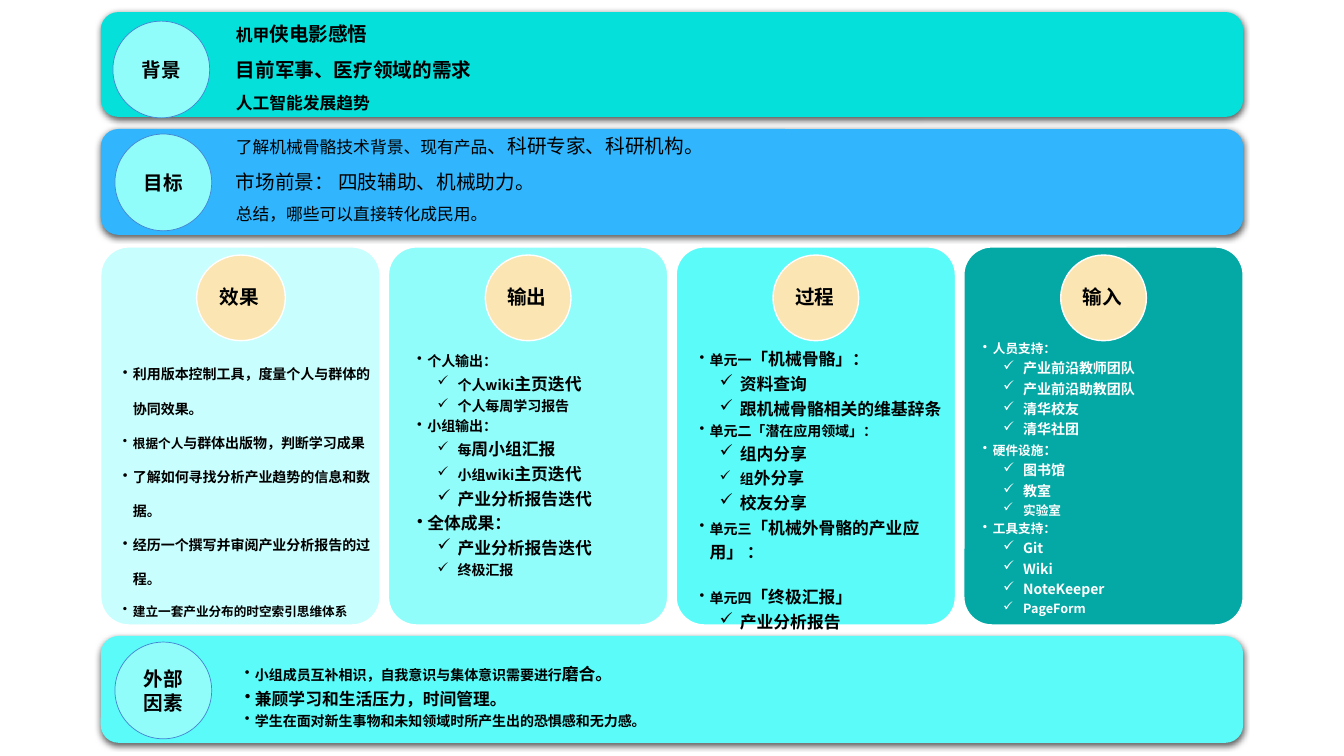
"""Build a one-page project canvas: two top bands, four cards and a base band."""
from dataclasses import dataclass

from lxml import etree
from pptx import Presentation
from pptx.dml.color import RGBColor
from pptx.enum.shapes import MSO_SHAPE
from pptx.enum.text import MSO_ANCHOR, PP_ALIGN
from pptx.oxml.ns import qn
from pptx.util import Inches, Pt

ROUND = MSO_SHAPE.ROUNDED_RECTANGLE
OVAL = MSO_SHAPE.OVAL
RECT = MSO_SHAPE.RECTANGLE
MIDDLE = MSO_ANCHOR.MIDDLE
TOP = MSO_ANCHOR.TOP
CENTER = PP_ALIGN.CENTER
LEFT = PP_ALIGN.LEFT


@dataclass(frozen=True)
class Theme:
    """Colours, fonts and type sizes of the slide."""
    ink: str = "000000"
    white: str = "FFFFFF"
    sand: str = "FBE6B3"
    pale: str = "C8FEFD"
    mint: str = "91FDFA"
    aqua: str = "5AFBF8"
    teal: str = "04A8A4"
    cyan: str = "05E0DB"
    sky: str = "31B6FD"
    edge: str = "4584D3"
    plain: str = "Noto Sans CJK SC"
    heavy: str = "Noto Sans CJK TC"
    tiny: int = 9
    small: int = 10
    body: int = 12
    large: int = 14
    pitch: float = 1.22


T = Theme()


@dataclass(frozen=True)
class Style:
    """Look of a block of text."""
    font: str = T.heavy
    bold: bool = True
    color: str = T.ink
    space: float = 1.2
    align: int = LEFT


@dataclass(frozen=True)
class Row:
    """One paragraph: its runs, bullet, indent and gap above."""
    runs: tuple
    mark: str = ""
    left: float = 0
    hang: float = 0
    gap: float = 0


def line(*runs):
    """Return a row without a bullet."""
    return Row(runs)


def point(*runs, left=0.1, gap=0):
    """Return a top-level bullet row."""
    return Row(runs, "•", left, 0.1, gap)


def tick(*runs):
    """Return a ticked sub-row."""
    return Row(runs, "✓", 0.4, 0.2)


def ticks(size, *names):
    """Return ticked rows of one type size."""
    return [tick((name, size)) for name in names]


def add_run(para, text, size, style):
    """Add one run of text in the given style."""
    run = para.add_run()
    run.text = text
    font = run.font
    font.size = Pt(size)
    font.bold = style.bold
    font.name = style.font
    font.color.rgb = RGBColor.from_string(style.color)
    etree.SubElement(font._element, qn("a:ea"), typeface=style.font)


def set_mark(para, row):
    """Give a paragraph its bullet and hanging indent."""
    props = para._p.get_or_add_pPr()
    props.set("marL", str(Inches(row.left)))
    props.set("indent", str(-Inches(row.hang)))
    etree.SubElement(props, qn("a:buChar"), char=row.mark)


def fill_text(frame, rows, style):
    """Write rows of runs into a text frame."""
    for i, row in enumerate(rows):
        para = frame.add_paragraph() if i else frame.paragraphs[0]
        if row.mark:
            set_mark(para, row)
        para.alignment = style.align
        size = max(size for _, size in row.runs)
        para.line_spacing = Pt(round(size * T.pitch * style.space, 1))
        if row.gap:
            para.space_before = Pt(row.gap)
        for text, size in row.runs:
            add_run(para, text, size, style)


def add_text(slide, box, rows, style):
    """Add a wrapped text box."""
    frame = slide.shapes.add_textbox(*map(Inches, box)).text_frame
    frame.word_wrap = True
    fill_text(frame, rows, style)


def add_form(slide, kind, box, color, edge=None, width=1):
    """Add a filled preset shape with an optional outline."""
    form = slide.shapes.add_shape(kind, *map(Inches, box))
    form.shadow.inherit = False
    form.fill.solid()
    form.fill.fore_color.rgb = RGBColor.from_string(color)
    if edge:
        form.line.color.rgb = RGBColor.from_string(edge)
        form.line.width = Pt(width)
    else:
        form.line.fill.background()
    return form


def add_band(slide, top, height, color):
    """Add a full-width band with a soft shadow below."""
    band = add_form(slide, ROUND, (1, top, 11.33, height), color)
    effects = band._element.spPr.find(qn("a:effectLst"))
    shade = etree.SubElement(effects, qn("a:outerShdw"), blurRad=str(Pt(4.5)),
                             dist=str(Pt(1.5)), dir="5400000", rotWithShape="0")
    tone = etree.SubElement(shade, qn("a:srgbClr"), val=T.ink)
    etree.SubElement(tone, qn("a:alpha"), val="63000")


def add_badge(slide, left, top, name):
    """Add the round title of a band."""
    badge = add_form(slide, OVAL, (left, top, 0.96, 0.96), T.mint, T.edge, 0.5)
    frame = badge.text_frame
    frame.word_wrap = True
    frame.vertical_anchor = MIDDLE
    style = Style(T.plain, space=1, align=CENTER)
    fill_text(frame, [line((name, T.large))], style)


def add_card(slide, i, name, color, disc):
    """Add card number i with its round title."""
    left = 1 + 8.56 * i / 3
    add_form(slide, ROUND, (left, 2.45, 2.77, 3.75), color, T.white).adjustments[0] = 0.1
    add_form(slide, OVAL, (left + disc[0], 2.53, disc[1], 0.85), T.sand, T.white)
    label = add_form(slide, RECT, (left + 1.08, 2.77, 0.59, 0.34), T.sand)
    frame = label.text_frame
    frame.word_wrap = False
    frame.vertical_anchor = TOP
    fill_text(frame, [line((name, T.large))], Style(T.plain, space=1))


def main():
    """Build and save the slide."""
    deck = Presentation()
    deck.slide_width, deck.slide_height = Inches(13.33), Inches(7.5)
    slide = deck.slides.add_slide(deck.slide_layouts[6])
    tiny, small, body, large = T.tiny, T.small, T.body, T.large

    effect = [
        point(("利用版本控制工具，度量个人与群体的协同效果。", small)),
        point(("根据个人", tiny), ("与群体出版物，判断学习成果", small)),
        point(("了解如何寻找分析产业趋势的信息和数据。", small)),
        point(("经历一个撰写并审阅产业分析报告的过程。", small)),
        point(("建立一套产业分布的时空索引思维体系", tiny))]
    output = [
        point(("个人输出：", small)),
        tick(("个人wiki", small), ("主页迭代", body)),
        tick(("个人每周学习报告", small)),
        point(("小组输出：", small)),
        tick(("每", small), ("周小组汇报", body)),
        tick(("小组wiki", small), ("主页迭代", body)),
        tick(("产业分析报告迭代", body)),
        point(("全体成果：", body)),
        tick(("产业分析报告迭代", body)),
        tick(("终极汇报", small))]
    process = [
        point(("单元一", small), ("「机械骨骼」：", body)),
        *ticks(body, "资料查询", "跟机械骨骼相关的维基辞条"),
        point(("单元二「潜在应用领域」：", small)),
        tick(("组内分享", body)),
        tick(("组", small), ("外分享", body)),
        tick(("校友分享", body)),
        point(("单元三", small), ("「机械外骨骼的产业应用」 ：", body)),
        point(("单元四", small), ("「终极汇报」", body), gap=14.6),
        tick(("产业分析报告", body))]
    supply = [
        point(("人员支持：", tiny)),
        *ticks(small, "产业前沿教师团队", "产业前沿助教团队", "清华校友", "清华社团"),
        point(("硬件设施", tiny), ("：", small)),
        *ticks(small, "图书馆", "教室"), *ticks(tiny, "实验室"),
        point(("工具支持：", tiny)),
        *ticks(small, "Git", "Wiki", "NoteKeeper"), *ticks(tiny, "PageForm")]
    cards = [
        ("效果", T.pale, (0.95, 0.88), (1.12, 3.41, 2.68, 2.76), effect, Style(space=2)),
        ("输出", T.mint, (0.96, 0.85), (4.04, 3.41, 2.67, 2.36), output, Style()),
        ("过程", T.aqua, (0.96, 0.85), (6.84, 3.37, 2.67, 3.35), process, Style()),
        ("输入", T.teal, (0.96, 0.85), (9.65, 3.3, 2.65, 3.1), supply, Style(color=T.white))]
    for i, (name, color, disc, box, rows, style) in enumerate(cards):
        add_card(slide, i, name, color, disc)
        add_text(slide, box, rows, style)

    motive = [
        line(("机甲", body), ("侠电影感悟", large)),
        line(("目前军事、医疗领域的需求", large)),
        line(("人工智能发展趋势", body))]
    goal = [
        line(("了解机械骨骼技术背景、现有产品", body), ("、科研专家、科研机构。", large)),
        line(("市场前景： 四肢辅助、机械助力。", large)),
        line(("总结，哪些可以直接转化成民用。", body))]
    factor = [
        point(("小组成员互补相识，自我意识与集体意识需要进行", small), ("磨合。", body), left=0.19),
        point(("兼顾学习和生活压力，时间管理。", body), left=0.19),
        point(("学生在面对新生事物和未知领域时所产生出的恐惧感和无力感。", small), left=0.19)]
    bands = [
        (1.28, 1.05, T.sky, (1.14, 1.33, "目标"), (2.24, 1.16, 9.67, 1.41), goal,
         Style(T.plain, False, space=1.5)),
        (0.12, 1.04, T.cyan, (1.12, 0.21, "背景"), (2.24, 0.05, 10.03, 1.11), motive,
         Style(space=1.5)),
        (6.31, 1.06, T.aqua, (1.14, 6.37, "外部因素"), (2.24, 6.49, 9.67, 0.79), factor,
         Style())]
    for top, height, color, badge, box, rows, style in bands:
        add_band(slide, top, height, color)
        add_badge(slide, *badge)
        add_text(slide, box, rows, style)
    deck.save("out.pptx")


if __name__ == "__main__":
    main()
